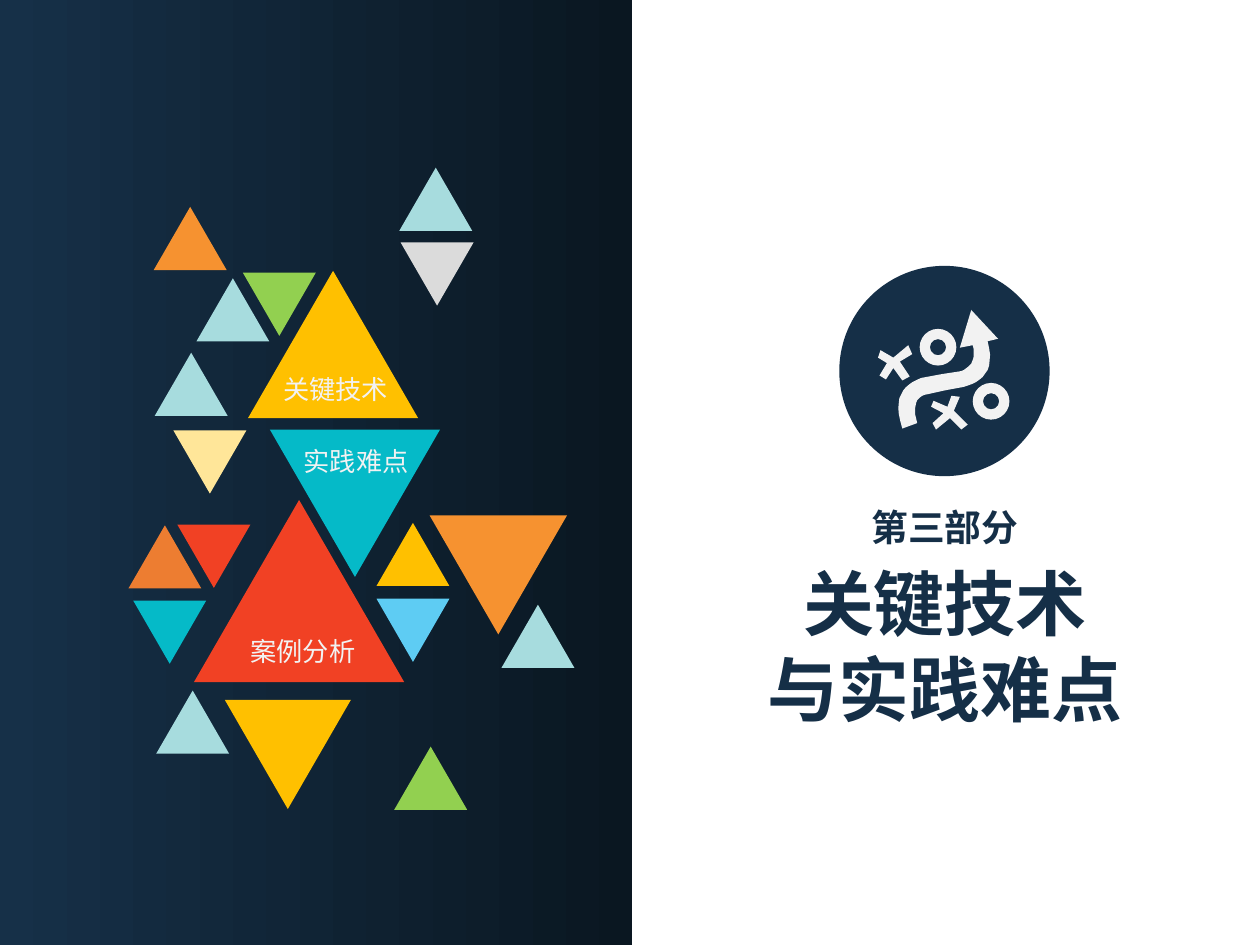
from dataclasses import dataclass
from lxml.etree import SubElement
from pptx import Presentation
from pptx.dml.color import RGBColor
from pptx.enum.shapes import MSO_SHAPE
from pptx.enum.text import MSO_ANCHOR, MSO_AUTO_SIZE, PP_ALIGN
from pptx.oxml.ns import qn
from pptx.util import Cm, Pt


@dataclass
class Theme:
    font: str = "Noto Sans CJK SC"
    navy: str = "152F47"
    deep: str = "163048"
    night: str = "0A1721"
    pale: str = "F2F2F2"
    aqua: str = "A7DCDE"
    cream: str = "FFE699"
    teal: str = "05BAC8"
    red: str = "F14124"
    rust: str = "ED7D31"
    orange: str = "F69230"
    green: str = "92D050"
    grey: str = "DBDBDB"
    gold: str = "FFC000"
    sky: str = "5ECCF3"
    head: float = 40.5
    chapter: float = 21
    label: float = 15


def paint(shape, color):
    shape.shadow.inherit = False
    shape.line.fill.background()
    shape.fill.solid()
    shape.fill.fore_color.rgb = RGBColor.from_string(color)


def write(box, text, size, color, bold, align):
    frame = box.text_frame
    frame.text = text
    frame.word_wrap = False
    frame.auto_size = MSO_AUTO_SIZE.NONE
    frame.vertical_anchor = MSO_ANCHOR.MIDDLE
    for line in frame.paragraphs:
        line.alignment = align
        line.space_before = Pt(0)
        line.line_spacing = Pt(size * 1.2)
        for run in line.runs:
            run.font.size = Pt(size)
            run.font.bold = bold
            run.font.color.rgb = RGBColor.from_string(color)
            run.font.name = theme.font
            SubElement(run.font._element, qn("a:ea")).set("typeface", theme.font)


theme = Theme()
deck = Presentation()
deck.slide_width, deck.slide_height = Cm(25.4), Cm(19.05)
slide = deck.slides.add_slide(deck.slide_layouts[2])
shapes = slide.shapes

panel = shapes.add_shape(MSO_SHAPE.RECTANGLE, 0, 0, Cm(12.75), deck.slide_height)
panel.shadow.inherit = False
panel.line.fill.background()
panel.fill.gradient()
panel.fill.gradient_angle = 0
for stop, color, place in zip(panel.fill.gradient_stops, (theme.deep, theme.night), (0, 1)):
    stop.color.rgb = RGBColor.from_string(color)
    stop.position = place

title, chapter = slide.placeholders
title.left, title.top, title.width, title.height = Cm(15.19), Cm(11.15), Cm(7.72), Cm(3.71)
chapter.left, chapter.top, chapter.width, chapter.height = Cm(17.3), Cm(10.06), Cm(3.5), Cm(1.14)
write(title, "关键技术\n与实践难点", theme.head, theme.navy, True, PP_ALIGN.CENTER)
write(chapter, "第三部分", theme.chapter, theme.navy, True, PP_ALIGN.CENTER)

disc = shapes.add_shape(MSO_SHAPE.OVAL, Cm(16.92), Cm(5.36), Cm(4.24), Cm(4.24))
paint(disc, theme.navy)

for x, y in [(18.54, 6.63), (19.61, 7.72)]:
    ring = shapes.add_shape(MSO_SHAPE.DONUT, Cm(x), Cm(y), Cm(0.74), Cm(0.74))
    ring.adjustments[0] = 0.28
    paint(ring, theme.pale)

arrow = [
    (1819, 864), (1798, 800, 1821, 777, 1857, 762), (1900, 754), (1933, 749),
    (1953, 744, 1969, 729, 1961, 696), (1935, 701), (1958, 625), (2012, 683),
    (1991, 688), (2007, 749, 1979, 770, 1943, 780), (1905, 787), (1869, 795),
    (1847, 800, 1839, 815, 1849, 853),
]
cross = [
    (1775, 706), (1770, 721), (1788, 732), (1773, 757), (1786, 765), (1801, 742),
    (1819, 767), (1834, 759), (1814, 729), (1839, 714), (1831, 696), (1801, 721),
]
mark = [
    (1935, 800), (1918, 798), (1910, 820), (1882, 808), (1877, 820), (1902, 833),
    (1880, 853), (1887, 866), (1915, 843), (1938, 866), (1951, 856), (1923, 828),
]
for route in (arrow, cross, mark):
    dots = []
    for step in route:
        if len(step) == 2:
            dots.append(step)
            continue
        a, b, c, d = dots[-1], step[:2], step[2:4], step[4:]
        for t in [n / 12 for n in range(1, 13)]:
            u = 1 - t
            dots.append(tuple(
                u**3 * p + 3 * u * u * t * q + 3 * u * t * t * r + t**3 * s
                for p, q, r, s in zip(a, b, c, d)
            ))
    pen = shapes.build_freeform(*dots[0], scale=Cm(0.01))
    pen.add_line_segments(dots[1:], close=True)
    paint(pen.convert_to_shape(), theme.pale)

small = 1.47
tiles = [
    (3.12, 7.11, small, 0, theme.aqua),
    (8.05, 3.38, small, 0, theme.aqua),
    (3.68, 8.36, small, 60, theme.cream),
    (5.44, 8.66, 3.43, 180, theme.teal),
    (3.91, 10.08, 4.24, 0, theme.red),
    (3.15, 13.92, small, 0, theme.aqua),
    (2.59, 10.59, small, 0, theme.rust),
    (3.1, 4.17, small, 0, theme.orange),
    (3.96, 5.61, small, 0, theme.aqua),
    (5.08, 5.18, small, 60, theme.green),
    (8.26, 4.57, small, 60, theme.grey),
    (2.87, 11.79, small, 60, theme.teal),
    (8.66, 10.39, 2.77, 180, theme.orange),
    (7.59, 10.54, small, 0, theme.gold),
    (7.59, 12.07, small, 180, theme.sky),
    (3.76, 10.26, small, 60, theme.red),
    (4.85, 13.56, 2.54, 60, theme.gold),
    (10.11, 12.19, small, 0, theme.aqua),
    (5, 5.46, 3.43, 0, theme.gold),
    (8.13, 15.37, small, 120, theme.green),
]
for x, y, side, turn, color in tiles:
    tile = shapes.add_shape(
        MSO_SHAPE.ISOSCELES_TRIANGLE, Cm(x), Cm(y), Cm(side), Cm(side * 3**0.5 / 2)
    )
    tile.rotation = turn
    paint(tile, color)

for text, x, y in [("关键技术", 5.46, 7.39), ("实践难点", 5.87, 8.84), ("案例分析", 4.8, 12.67)]:
    label = shapes.add_textbox(Cm(x), Cm(y), Cm(2.64), Cm(0.89))
    write(label, text, theme.label, theme.pale, False, PP_ALIGN.LEFT)

deck.save("out.pptx")
